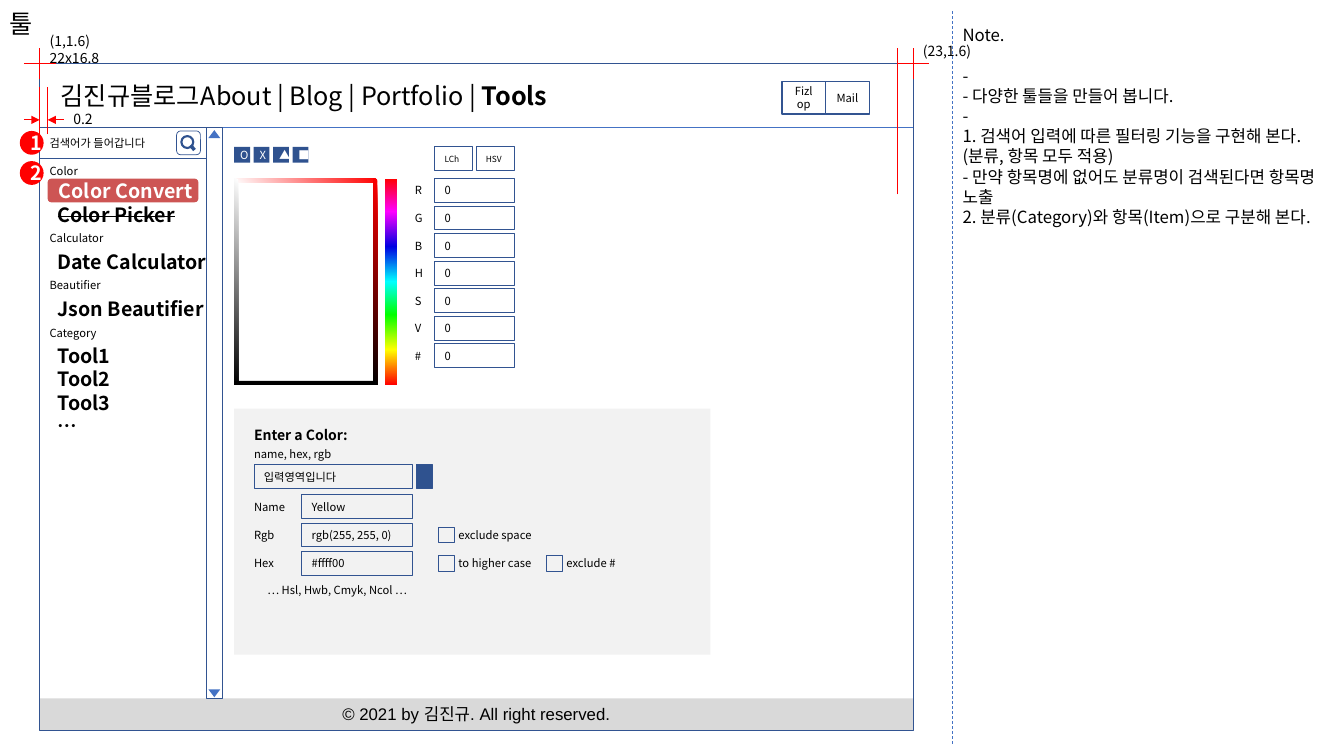
from dataclasses import dataclass, replace
from typing import Optional, Union

from lxml.etree import SubElement
from pptx import Presentation
from pptx.dml.color import RGBColor
from pptx.enum.dml import MSO_LINE
from pptx.enum.shapes import MSO_CONNECTOR, MSO_SHAPE
from pptx.enum.text import MSO_ANCHOR, PP_ALIGN
from pptx.oxml.ns import qn
from pptx.util import Cm, Inches, Pt


@dataclass(frozen=True)
class Theme:
    font: str = "Noto Sans CJK KR"
    footer_font: str = "Arial"
    ink: str = "000000"
    white: str = "FFFFFF"
    edge: str = "325491"
    navy: str = "2F528F"
    blue: str = "4472C4"
    red: str = "FF0000"
    active: str = "CD5554"
    panel: str = "F2F2F2"
    footer: str = "D9D9D9"
    tiny: float = 6
    small: float = 8
    medium: float = 10
    body: float = 12
    item: float = 14
    title: float = 18
    leading: float = 1.2


T = Theme()
CELL = Cm(1)
RECT, ROUND = MSO_SHAPE.RECTANGLE, MSO_SHAPE.ROUNDED_RECTANGLE
OVAL, TRIANGLE = MSO_SHAPE.OVAL, MSO_SHAPE.ISOSCELES_TRIANGLE
FLUSH = (0, 3.6, 7.2, 3.6)


@dataclass(frozen=True)
class Gradient:
    stops: tuple[tuple[int, str], ...]
    angle: int


@dataclass(frozen=True)
class Box:
    col: float
    row: float
    cols: float
    rows: float
    text: str = ""
    size: float = T.small
    color: str = T.ink
    bold: bool = False
    font: str = T.font
    centered: bool = False
    top: bool = False
    insets: tuple[float, float, float, float] = (7.2, 3.6, 7.2, 3.6)
    shape: Optional[MSO_SHAPE] = None
    fill: Union[str, Gradient, None] = None
    line: Optional[str] = None
    weight: float = 0.5
    rotation: float = 0


@dataclass(frozen=True)
class Rule:
    col1: float
    row1: float
    col2: float
    row2: float
    color: str = T.red
    weight: float = 0.5
    dashed: bool = False
    arrow: bool = False


def style_run(r, box: Box) -> None:
    r.font.size, r.font.bold, r.font.name = Pt(box.size), box.bold, box.font
    r.font.color.rgb = RGBColor.from_string(box.color)
    SubElement(r.font._element, qn("a:ea")).set("typeface", T.font)


def paint(sp, fill: Union[str, Gradient, None]) -> None:
    if fill is None:
        sp.fill.background()
    elif isinstance(fill, Gradient):
        sp.fill.gradient()
        sp.fill.gradient_angle = 360 - fill.angle
        stops = sp.element.spPr.find(qn("a:gradFill")).find(qn("a:gsLst"))
        stops.clear()
        for position, color in fill.stops:
            stop = SubElement(stops, qn("a:gs"), pos=str(position * 1000))
            SubElement(stop, qn("a:srgbClr"), val=color)
    else:
        sp.fill.solid()
        sp.fill.fore_color.rgb = RGBColor.from_string(fill)


def draw_box(s, box: Box):
    frame = [round(v * CELL) for v in (box.col, box.row, box.cols, box.rows)]
    if box.shape is None:
        sp = s.shapes.add_textbox(*frame)
    else:
        sp = s.shapes.add_shape(box.shape, *frame)
        sp.shadow.inherit = False
        sp.rotation = box.rotation
        paint(sp, box.fill)
        if box.line:
            sp.line.color.rgb = RGBColor.from_string(box.line)
            sp.line.width = Pt(box.weight)
        else:
            sp.line.fill.background()
    if box.text:
        tf = sp.text_frame
        tf.word_wrap = True
        tf.vertical_anchor = MSO_ANCHOR.TOP if box.top else MSO_ANCHOR.MIDDLE
        tf.margin_left, tf.margin_top, tf.margin_right, tf.margin_bottom = map(Pt, box.insets)
        tf.text = box.text
        for p in tf.paragraphs:
            p.alignment = PP_ALIGN.CENTER if box.centered else PP_ALIGN.LEFT
            p.line_spacing = Pt(box.size * T.leading)
            for r in p.runs:
                style_run(r, box)
    return sp


def draw_rule(s, rule: Rule) -> None:
    ends = [round(v * CELL) for v in (rule.col1, rule.row1, rule.col2, rule.row2)]
    sp = s.shapes.add_connector(MSO_CONNECTOR.STRAIGHT, *ends)
    sp.line.color.rgb = RGBColor.from_string(rule.color)
    sp.line.width = Pt(rule.weight)
    if rule.dashed:
        sp.line.dash_style = MSO_LINE.DASH
    props = sp.element.spPr
    if rule.arrow:
        SubElement(props.find(qn("a:ln")), qn("a:tailEnd"), type="triangle")
    SubElement(props, qn("a:effectLst"))


def field(col: float, row: float, cols: float, text: str = "", rows: float = 0.6, **style) -> Box:
    return Box(col, row, cols, rows, text, shape=RECT, line=T.edge, **style)


def bar(col: float, row: float, cols: float, rows: float, fill: Union[str, Gradient]) -> Box:
    return Box(col, row, cols, rows, shape=RECT, fill=fill)


def draw_tool_list(s) -> None:
    pitch = T.item * T.leading
    names = "Color Picker\nDate Calculator\nJson Beautifier\nTool1\nTool2\nTool3\n…"
    sp = draw_box(s, Box(1.2, 3.2, 21.6, 14.4, names, T.item, bold=True, top=True,
                         insets=(7.2, 3.6 + 3 * pitch, 7.2, 3.6)))
    paragraphs = sp.text_frame.paragraphs
    paragraphs[0].runs[0].font._element.set("strike", "sngStrike")
    for p in paragraphs[1:4]:
        p.space_before = Pt(pitch)


def draw_header(s) -> None:
    box = Box(1, 1.6, 22, 1.6, "김진규블로그\tAbout | Blog | Portfolio | ", T.title,
              shape=RECT, line=T.blue)
    p = draw_box(s, box).text_frame.paragraphs[0]
    p._p.get_or_add_pPr().set("indent", str(Pt(8)))
    r = p.add_run()
    r.text = "Tools"
    style_run(r, replace(box, bold=True))


def draw_notes(s) -> None:
    notes = ("Note.\n-\n- 다양한 툴들을 만들어 봅니다.\n-\n"
             "1. 검색어 입력에 따른 필터링 기능을 구현해 본다. (분류, 항목 모두 적용)\n"
             "- 만약 항목명에 없어도 분류명이 검색된다면 항목명 노출\n"
             "2. 분류(Category)와 항목(Item)으로 구분해 본다.")
    pitch = T.body * T.leading
    sp = draw_box(s, Box(24, 0, 9.87, 19.05, notes, T.body, top=True,
                         insets=(7.2, 3.6 + pitch, 7.2, 3.6)))
    sp.text_frame.paragraphs[1].space_before = Pt(pitch)


def page_boxes() -> list[Box]:
    categories = (("Color", 4), ("Calculator", 5.7), ("Beautifier", 6.88), ("Category", 8.1))
    return [
        *(Box(1, row, 4.2, 0.6, name) for name, row in categories),
        Box(1, 17.6, 22, 0.8, "© 2021 by 김진규. All right reserved.", T.body,
            font=T.footer_font, centered=True, top=True, shape=RECT, fill=T.footer),
        Box(0, 0, 24, 1.2, "툴", T.title),
        field(1, 1.6, 22, rows=16.8),
        *(field(19.7 + 1.1 * i, 2.05, 1.1, name, 0.82, centered=True, weight=1)
          for i, name in enumerate(("Fizlop", "Mail"))),
        Box(1, 0.94, 2.8, 0.6, "(1,1.6) 22x16.8", T.medium),
        Box(1.6, 2.8, 1, 0.4, "0.2", T.medium),
        Box(23, 0.94, 1.8, 0.68, "(23,1.6)", T.medium),
        field(5.2, 3.2, 0.4, rows=14.4, fill=T.white),
        field(1, 3.2, 4.2, "검색어가 들어갑니다", 0.8),
        Box(1.2, 4.5, 3.8, 0.6, "Color Convert", T.item, T.white, True,
            insets=(7.2, 3.6, 0, 3.6), shape=ROUND, fill=T.active),
        Box(4.57, 3.43, 0.3, 0.3, shape=OVAL, line=T.navy, weight=1.5),
        Box(4.45, 3.3, 0.6, 0.6, shape=ROUND, line=T.edge),
        *(Box(0.5, 3.3 + 0.76 * i, 0.6, 0.6, mark, T.item, T.white, True,
              centered=True, shape=OVAL, fill=T.red) for i, mark in enumerate("12")),
        *(Box(5.25, row, 0.3, 0.2, shape=TRIANGLE, fill=T.blue, rotation=turn)
          for row, turn in ((3.28, 0), (17.37, 180))),
    ]


def picker_boxes() -> list[Box]:
    hues = ((0, "FF0000"), (16, "FF00FF"), (33, "0000E1"), (50, "00FFFF"),
            (66, "00FF00"), (83, "FFFF00"), (100, "FF0000"))
    boxes = [
        bar(5.9, 4.5, 3.6, 0.1, Gradient(((0, T.red), (100, T.white)), 135)),
        bar(9.7, 4.5, 0.3, 5.2, Gradient(hues, 90)),
        bar(9.4, 4.5, 0.1, 5.2, Gradient(((0, T.red), (100, T.ink)), 135)),
        bar(5.9, 4.5, 0.1, 5.2, Gradient(((0, T.white), (100, T.ink)), 135)),
        bar(5.9, 9.6, 3.6, 0.1, T.ink),
        *(field(10.95 + 1.04 * i, 3.7, 0.96, mode, size=T.tiny)
          for i, mode in enumerate(("LCh", "HSV"))),
        *(Box(5.9 + 0.49 * i, 3.7, 0.4, 0.4, icon, color=T.white, centered=True,
              shape=RECT, fill=T.navy) for i, icon in enumerate("OX▲■")),
    ]
    for i, channel in enumerate("RGBHSV#"):
        row = 4.5 + 0.694 * i
        boxes += [Box(10.2, row, 0.6, 0.6, channel, centered=True), field(10.95, row, 2, "0")]
    return boxes


def form_boxes() -> list[Box]:
    boxes = [
        bar(5.9, 10.3, 12, 6.2, T.panel),
        Box(6.4, 10.67, 5.4, 0.6, "Enter a Color:", T.medium, bold=True, insets=FLUSH),
        Box(6.4, 11.23, 4, 0.4, "name, hex, rgb", insets=FLUSH),
        field(6.4, 11.71, 4, "입력영역입니다"),
        field(10.49, 11.71, 0.4, fill=T.navy),
        Box(6.4, 14.58, 4.2, 0.6, "… Hsl, Hwb, Cmyk, Ncol …", centered=True),
    ]
    formats = (("Name", "Yellow", ()), ("Rgb", "rgb(255, 255, 0)", ("exclude space",)),
               ("Hex", "#ffff00", ("to higher case", "exclude #")))
    for i, (name, value, options) in enumerate(formats):
        row = 12.47 + 0.71 * i
        boxes += [Box(6.4, row, 1.2, 0.6, name, insets=FLUSH), field(7.6, row, 2.8, value)]
        for j, option in enumerate(options):
            col = 11.05 + 2.72 * j
            boxes += [field(col, row + 0.1, 0.4, rows=0.4),
                      Box(col + 0.5, row, 2.2, 0.6, option, insets=FLUSH)]
    return boxes


RULES = (
    Rule(24, 0.28, 24, 18.77, T.blue, dashed=True),
    *(Rule(col, 2, col, 1.2) for col in (1, 23)),
    *(Rule(col - 0.4, 1.6, col + 0.4, 1.6) for col in (1, 23)),
    *(Rule(col, 3.38, col, 2.18) for col in (1, 1.2)),
    *(Rule(start, 3.02, end, 3.02, arrow=True) for start, end in ((0.6, 1), (1.6, 1.2))),
    Rule(22.6, 4.9, 22.6, 1.2),
    Rule(4.8, 3.66, 4.9, 3.78, T.navy, 2.5),
)


def main() -> None:
    prs = Presentation()
    prs.slide_width, prs.slide_height = Inches(13.33), Inches(7.5)
    s = prs.slides.add_slide(prs.slide_layouts[6])
    draw_tool_list(s)
    draw_header(s)
    draw_notes(s)
    for box in page_boxes() + picker_boxes() + form_boxes():
        draw_box(s, box)
    for rule in RULES:
        draw_rule(s, rule)
    prs.save("out.pptx")


if __name__ == "__main__":
    main()
